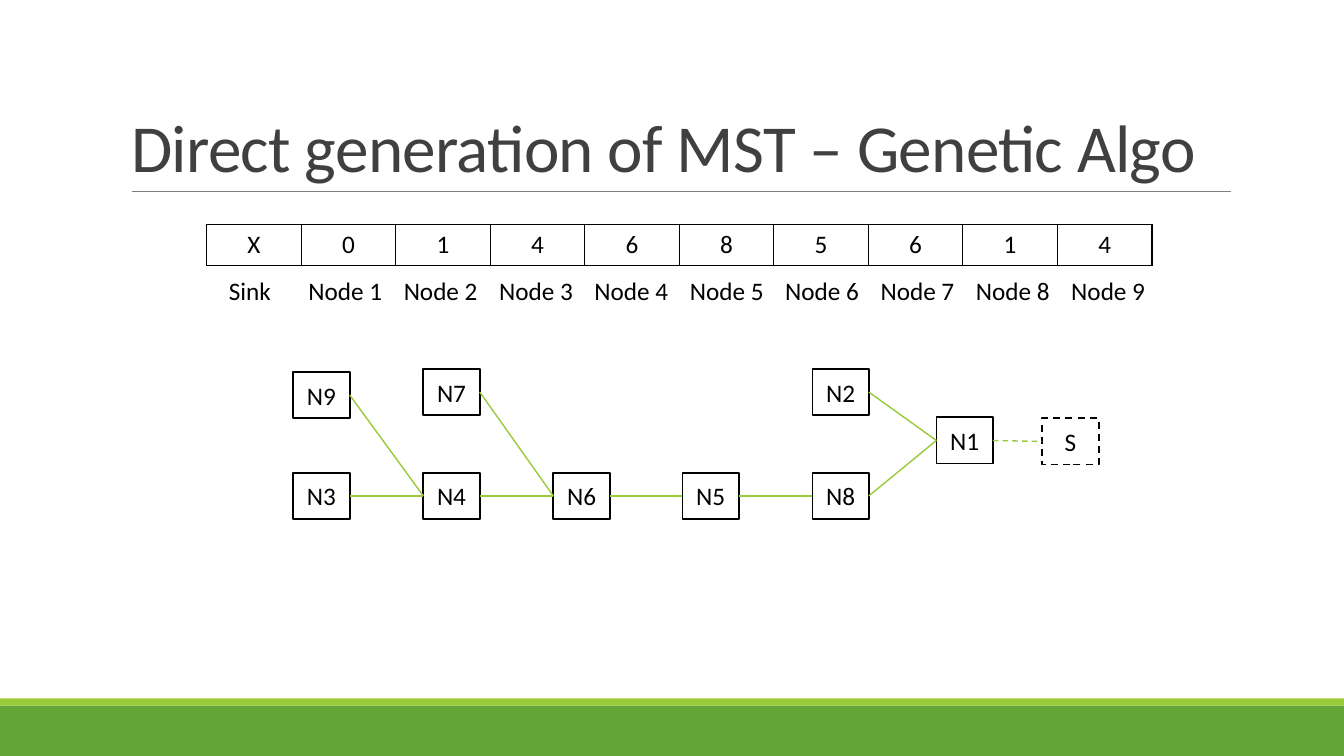
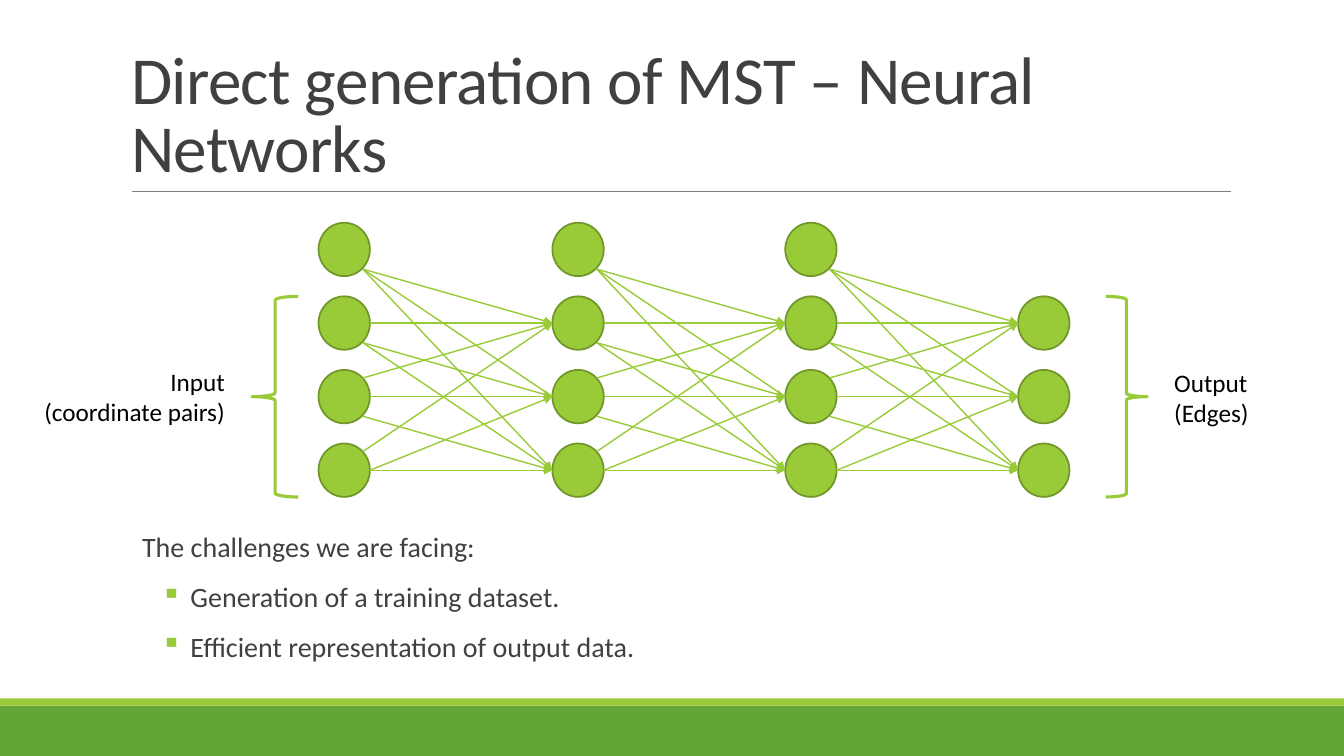
from pptx import Presentation
from pptx.dml.color import RGBColor
from pptx.enum.dml import MSO_LINE as Dash
from pptx.enum.shapes import MSO_CONNECTOR as Conn, MSO_SHAPE as Kind
from pptx.enum.text import MSO_ANCHOR as Anchor, MSO_AUTO_SIZE as Auto, PP_ALIGN as Align
from pptx.oxml.ns import qn
from pptx.util import Pt
from lxml.etree import SubElement as Sub

# Content
GENES = ["X", "0", "1", "4", "6", "8", "5", "6", "1", "4"]
LABELS = ["Sink"] + [f"Node {n}" for n in range(1, 10)]
NODES = {
    "N1": (929, 414), "N2": (806, 366), "S": (1034, 415), "N8": (806, 469),
    "N5": (677, 469), "N6": (549, 469), "N7": (420, 366), "N4": (420, 469),
    "N3": (291, 469), "N9": (291, 369),
}
EDGES = [("N9", "N4"), ("N3", "N4"), ("N4", "N6"), ("N7", "N6"), ("N6", "N5"),
         ("N5", "N8"), ("N8", "N1"), ("N2", "N1"), ("N1", "S")]
LAYERS = [(316, 0), (548, 0), (779, 0), (1010, 1)]  # left, first row
BRACES = [(Kind.RIGHT_BRACE, 1097, 41), (Kind.LEFT_BRACE, 250, 46)]
ENDS = [(["Output", "(Edges)"], (1155, 359, 95, 71), Align.LEFT),
        (["Input", "(coordinate pairs)"], (32, 358, 201, 71), Align.RIGHT)]
TASKS = ["The challenges we are facing:", "Generation of a training dataset.",
         "Efficient representation of output data."]

# Shared style
HEX = {"band": "63A537", "lime": "99CB38", "edge": "719629", "rule": "808080",
       "title": "404040", "ink": "000000", "paper": "FFFFFF"}
FONT = "Calibri"
NODE_W, NODE_H = 56, 46
DOT_W, DOT_H, DOT_TOP, DOT_STEP = 51, 53, 221, 73


def px(*vals):
    """Lengths in hundredths of an inch, as EMU."""
    return [round(v * 9144) for v in vals]


def rgb(name):
    return RGBColor.from_string(HEX[name])


def style(par, size=18, color="ink", align=Align.LEFT):
    par.alignment = align
    font = par.font
    font.name, font.size = FONT, Pt(size)
    font.color.rgb = rgb(color)


def stroke(line, color, width):
    line.color.rgb = rgb(color)
    line.width = Pt(width)


def shape(slide, kind, box, fill=None, line=None, width=1.25):
    item = slide.shapes.add_shape(kind, *px(*box))
    item.shadow.inherit = False
    if fill:
        item.fill.solid()
        item.fill.fore_color.rgb = rgb(fill)
    else:
        item.fill.background()
    if line:
        stroke(item.line, line, width)
    else:
        item.line.fill.background()
    return item


def link(slide, start, end, color="lime", width=1, arrow=False):
    item = slide.shapes.add_connector(Conn.STRAIGHT, *px(*start, *end))
    stroke(item.line, color, width)
    if arrow:
        Sub(item.line._get_or_add_ln(), qn("a:tailEnd"), type="triangle")
    Sub(item.element.spPr, qn("a:effectLst"))
    return item


def text(slide, box, lines, wrap=False, **look):
    frame = slide.shapes.add_textbox(*px(*box)).text_frame
    frame.word_wrap = wrap
    frame.text = "\n".join(lines)
    for par in frame.paragraphs:
        style(par, **look)
    return frame


def dress(layout, slide):
    """Put the bands and the title rule on the layout, behind its title."""
    title, *rest = layout.placeholders
    for part in rest:
        part.element.getparent().remove(part.element)
    title.left, title.top, title.width, title.height = px(120, 31, 1100, 159)
    for part in (shape(slide, Kind.RECTANGLE, (0, 700, 1333.33, 50), "band"),
                 shape(slide, Kind.RECTANGLE, (0, 693, 1333.33, 7), "lime"),
                 link(slide, (131, 190), (1221, 190), "rule", 0.5)):
        title.element.addprevious(part.element)


def head(slide, words):
    title = slide.shapes.title
    title.left, title.top, title.width, title.height = px(120, 31, 1100, 159)
    frame = title.text_frame
    frame.text = words
    frame.word_wrap = True
    frame.auto_size = Auto.NONE
    frame.vertical_anchor = Anchor.BOTTOM
    par = frame.paragraphs[0]
    style(par, 48, "title")
    par.line_spacing = 0.85
    par.font._element.set("spc", "-50")


def border(cell):
    props = cell._tc.get_or_add_tcPr()
    for side in ("lnL", "lnR", "lnT", "lnB"):
        line = Sub(props, qn(f"a:{side}"), w=str(Pt(1)))
        fill = Sub(line, qn("a:solidFill"))
        Sub(fill, qn("a:srgbClr"), val=HEX["ink"])


def genes(slide):
    # Chromosome table
    table = slide.shapes.add_table(1, len(GENES), *px(205, 223, 938, 40)).table
    table.first_row = table.horz_banding = False
    for col, gene in enumerate(GENES):
        table.columns[col].width = px(938)[0] // len(GENES)
        cell = table.cell(0, col)
        border(cell)
        cell.fill.background()
        cell.text = gene
        style(cell.text_frame.paragraphs[0], align=Align.CENTER)
    for col, label in enumerate(LABELS):
        text(slide, (201 + 94.6 * col, 268, 94, 40), [label], align=Align.CENTER)

    # Tree
    boxes = {}
    for name, spot in NODES.items():
        box = shape(slide, Kind.RECTANGLE, (*spot, NODE_W, NODE_H), "paper", "ink")
        frame = box.text_frame
        frame.text = name
        frame.word_wrap = False
        frame.vertical_anchor = Anchor.MIDDLE
        style(frame.paragraphs[0], align=Align.CENTER)
        boxes[name] = box
    for left, right in EDGES:
        line = link(slide, (0, 0), (0, 0))
        line.begin_connect(boxes[left], 3)
        line.end_connect(boxes[right], 1)
    boxes["S"].line.dash_style = line.line.dash_style = Dash.DASH


def exit_at(row, goal):
    """Where a link leaves its dot, from the dot's top left corner."""
    if goal > row:
        return 44, 46
    if goal == row or (row, goal) == (3, 2):
        return DOT_W, DOT_H / 2
    return 44, 8


def nets(slide):
    # Challenges
    frame = text(slide, (120, 524, 1100, 164), TASKS, True, size=20, color="title")
    frame.margin_left = frame.margin_right = 0
    for num, par in enumerate(frame.paragraphs):
        par.line_spacing = 0.9
        par.space_before, par.space_after = Pt(12), Pt(2)
        props = par._p.get_or_add_pPr()
        left, hang = px(69, -29) if num else px(21, 0)
        props.set("marL", str(left))
        props.set("indent", str(hang))
        if num:
            tint = props.makeelement(qn("a:buClr"))
            Sub(tint, qn("a:srgbClr"), val=HEX["lime"])
            mark = props.makeelement(qn("a:buChar"), char="▪")
            props.find(qn("a:defRPr")).addprevious(tint)
            tint.addnext(mark)

    # Layers of dots, then the links between them
    tops = [DOT_TOP + DOT_STEP * row for row in range(4)]
    for left, first in LAYERS:
        for top in tops[first:]:
            shape(slide, Kind.OVAL, (left, top, DOT_W, DOT_H), "lime", "edge")
    for (left, _), (right, _) in zip(LAYERS, LAYERS[1:]):
        for row in range(4):
            for goal in range(1, 4):
                dx, dy = exit_at(row, goal)
                link(slide, (left + dx, tops[row] + dy),
                     (right, tops[goal] + DOT_H / 2), arrow=(row, goal) != (0, 2))

    # Braces and their labels
    for kind, left, width in BRACES:
        shape(slide, kind, (left, 294, width, 199), line="lime", width=2.25)
    for lines, box, align in ENDS:
        text(slide, box, lines, align=align)


def main():
    deck = Presentation()
    deck.slide_width, deck.slide_height = px(1333.33, 750)
    layout = deck.slide_layouts[5]
    pages = [("Direct generation of MST – Genetic Algo", genes),
             ("Direct generation of MST – Neural Networks", nets)]
    for num, (title, draw) in enumerate(pages):
        slide = deck.slides.add_slide(layout)
        if num == 0:
            dress(layout, slide)
        head(slide, title)
        draw(slide)
    deck.save("out.pptx")


if __name__ == "__main__":
    main()
